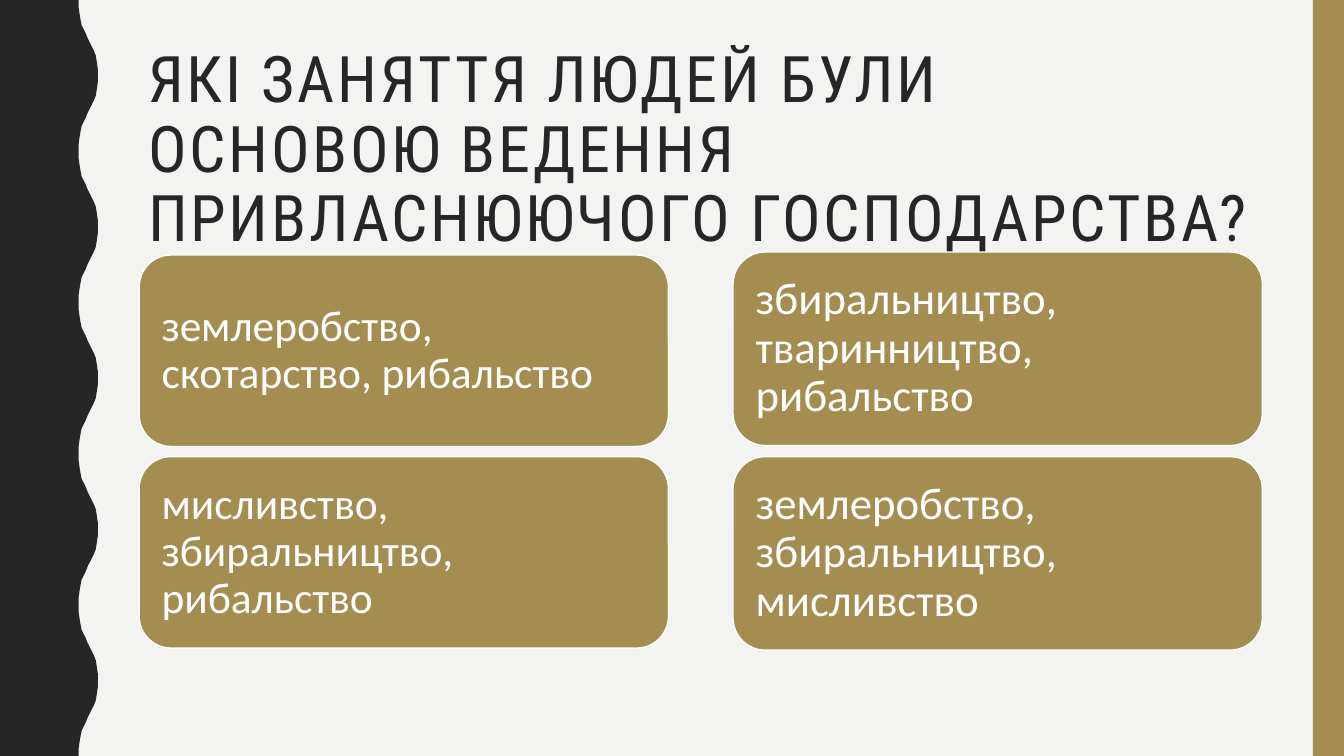
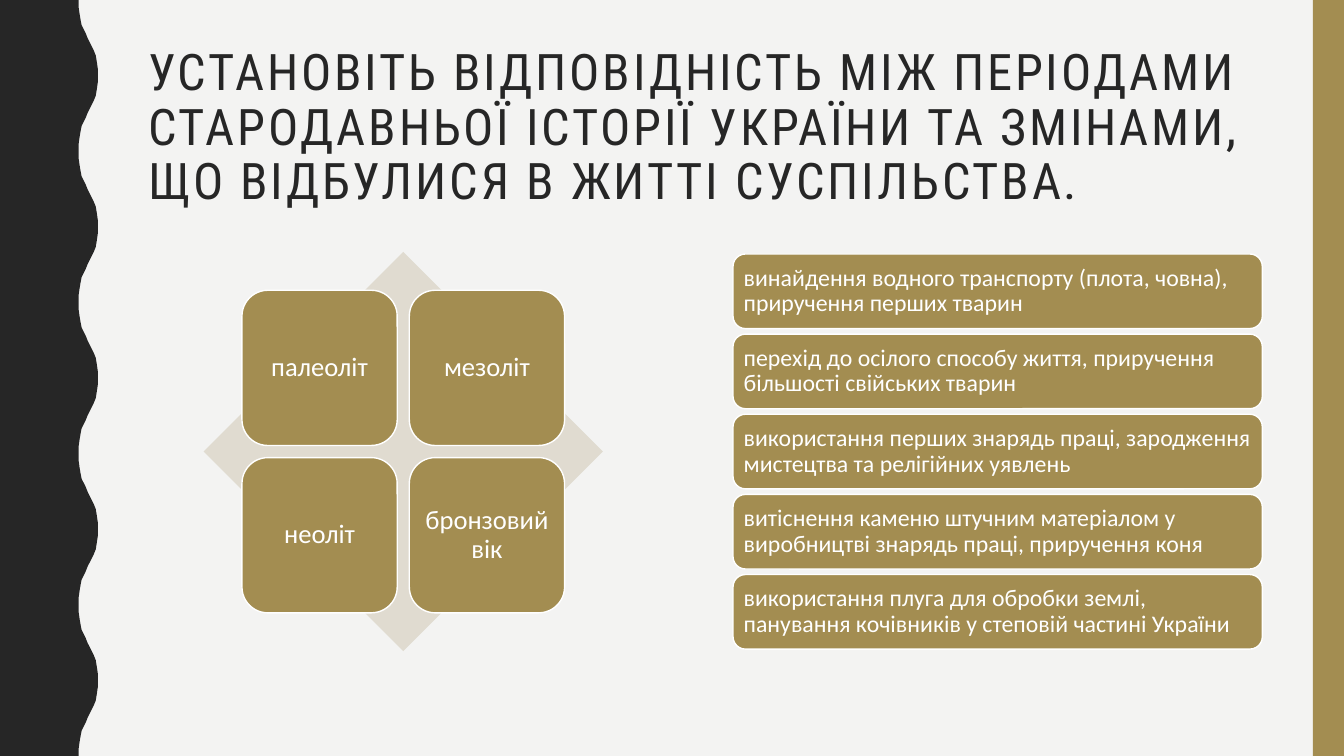
from pptx import Presentation
from pptx.dml.color import RGBColor
from pptx.enum.shapes import MSO_SHAPE
from pptx.enum.text import MSO_ANCHOR, PP_ALIGN
from pptx.util import Inches, Pt

# Content
OCCUPATIONS_TITLE = "ЯКІ ЗАНЯТТЯ ЛЮДЕЙ БУЛИ ОСНОВОЮ ВЕДЕННЯ ПРИВЛАСНЮЮЧОГО ГОСПОДАРСТВА?"
LEFT_ANSWERS = [
    "землеробство, скотарство, рибальство",
    "мисливство, збиральництво, рибальство",
]
RIGHT_ANSWERS = [
    "збиральництво, тваринництво, рибальство",
    "землеробство, збиральництво, мисливство",
]
PERIODS_TITLE = ("УСТАНОВІТЬ ВІДПОВІДНІСТЬ МІЖ ПЕРІОДАМИ СТАРОДАВНЬОЇ ІСТОРІЇ УКРАЇНИ "
                 "ТА ЗМІНАМИ, ЩО ВІДБУЛИСЯ В ЖИТТІ СУСПІЛЬСТВА.")
PERIODS = ["палеоліт", "мезоліт", "неоліт", "бронзовий вік"]
CHANGES = [
    "винайдення водного транспорту (плота, човна), приручення перших тварин",
    "перехід до осілого способу життя, приручення більшості свійських тварин",
    "використання перших знарядь праці, зародження мистецтва та релігійних уявлень",
    "витіснення каменю штучним матеріалом у виробництві знарядь праці, приручення коня",
    "використання плуга для обробки землі, панування кочівників у степовій частині України",
]

# Shared style
PAPER = RGBColor(0xF3, 0xF3, 0xF2)
INK = RGBColor(0x26, 0x26, 0x26)
GOLD = RGBColor(0xA3, 0x8D, 0x51)
SAND = RGBColor(0xE0, 0xDB, 0xD0)
WHITE = RGBColor(0xFF, 0xFF, 0xFF)
TITLE_FONT, BODY_FONT = "Roboto Condensed", "Calibri"
PAGE_WIDTH, PAGE_HEIGHT = 13.33, 7.5
LEFT_COLUMN, RIGHT_COLUMN, COLUMN_WIDTH = 1.38, 7.27, 5.25

# Half a wave of the dark band; the other half mirrors it
WAVE_COUNT = 5
WAVE_LENGTH = PAGE_HEIGHT / WAVE_COUNT
HALF_WAVE = [
    (0.78, 0), (0.78, 0.07), (0.79, 0.14), (0.8, 0.2), (0.81, 0.25),
    (0.83, 0.29), (0.85, 0.33), (0.87, 0.38), (0.89, 0.42), (0.91, 0.46),
    (0.93, 0.5), (0.95, 0.55), (0.96, 0.61), (0.97, 0.68), (0.97, 0.75),
]


def paint(shape, fill, line=None):
    shape.shadow.inherit = False
    shape.fill.solid()
    shape.fill.fore_color.rgb = fill
    if line is None:
        shape.line.fill.background()
    else:
        shape.line.color.rgb = line
        shape.line.width = Pt(1)


def add_shape(page, kind, left, top, width, height, fill, line=None):
    shape = page.shapes.add_shape(
        kind, Inches(left), Inches(top), Inches(width), Inches(height))
    paint(shape, fill, line)
    return shape


def write(frame, text, font_name, size, color, align=PP_ALIGN.LEFT):
    frame.word_wrap = True
    paragraph = frame.paragraphs[0]
    paragraph.text = text
    paragraph.alignment = align
    paragraph.line_spacing = 0.9
    paragraph.font.name = font_name
    paragraph.font.size = Pt(size)
    paragraph.font.color.rgb = color
    return paragraph


def add_wave_band(page):
    mirrored = [(x, WAVE_LENGTH - y) for x, y in reversed(HALF_WAVE[:-1])]
    edge = [(x, y + wave * WAVE_LENGTH)
            for wave in range(WAVE_COUNT) for x, y in HALF_WAVE + mirrored]
    outline = edge + [(0, PAGE_HEIGHT)]
    builder = page.shapes.build_freeform(0, 0)
    builder.add_line_segments([(Inches(x), Inches(y)) for x, y in outline])
    paint(builder.convert_to_shape(), INK)


def add_page(deck, title, title_size):
    page = deck.slides.add_slide(deck.slide_layouts[6])
    page.background.fill.solid()
    page.background.fill.fore_color.rgb = PAPER
    add_wave_band(page)
    add_shape(page, MSO_SHAPE.RECTANGLE, 13.02, 0, 0.31, PAGE_HEIGHT, GOLD)
    box = page.shapes.add_textbox(
        Inches(1.37), Inches(0.42), Inches(11.13), Inches(1.63))
    paragraph = write(box.text_frame, title, TITLE_FONT, title_size, INK)
    paragraph.runs[0].font._element.set("spc", "200")  # letter spacing of 2 pt
    return page


def add_card(page, text, left, top, width, height, size, inset, align=PP_ALIGN.LEFT):
    card = add_shape(page, MSO_SHAPE.ROUNDED_RECTANGLE,
                     left, top, width, height, GOLD, WHITE)
    frame = card.text_frame
    frame.vertical_anchor = MSO_ANCHOR.MIDDLE
    frame.margin_left = frame.margin_right = Inches(inset)
    frame.margin_top = frame.margin_bottom = Inches(inset)
    write(frame, text, BODY_FONT, size, WHITE, align)


def add_stack(page, texts, left, top, height, pitch, size, inset):
    for row, text in enumerate(texts):
        add_card(page, text, left, top + row * pitch, COLUMN_WIDTH, height, size, inset)


def add_period_matrix(page, left=2.02, top=2.5, side=3.96):
    add_shape(page, MSO_SHAPE.DIAMOND, left, top, side, side, SAND)
    card_side, gap = 1.54, 0.12
    margin = (side - 2 * card_side - gap) / 2
    for index, period in enumerate(PERIODS):
        row, column = divmod(index, 2)
        add_card(page, period,
                 left + margin + column * (card_side + gap),
                 top + margin + row * (card_side + gap),
                 card_side, card_side, 19, 0.08, PP_ALIGN.CENTER)


def main():
    deck = Presentation()
    deck.slide_width, deck.slide_height = Inches(PAGE_WIDTH), Inches(PAGE_HEIGHT)

    # Occupations: four answers
    page = add_page(deck, OCCUPATIONS_TITLE, 45.9)
    add_stack(page, LEFT_ANSWERS, LEFT_COLUMN, 2.53, 1.9, 2, 31, 0.13)
    add_stack(page, RIGHT_ANSWERS, RIGHT_COLUMN, 2.5, 1.92, 2.03, 32, 0.13)

    # Periods matched with changes
    page = add_page(deck, PERIODS_TITLE, 36)
    add_period_matrix(page)
    add_stack(page, CHANGES, RIGHT_COLUMN, 2.52, 0.74, 0.795, 17, 0.07)

    deck.save("out.pptx")


if __name__ == "__main__":
    main()
